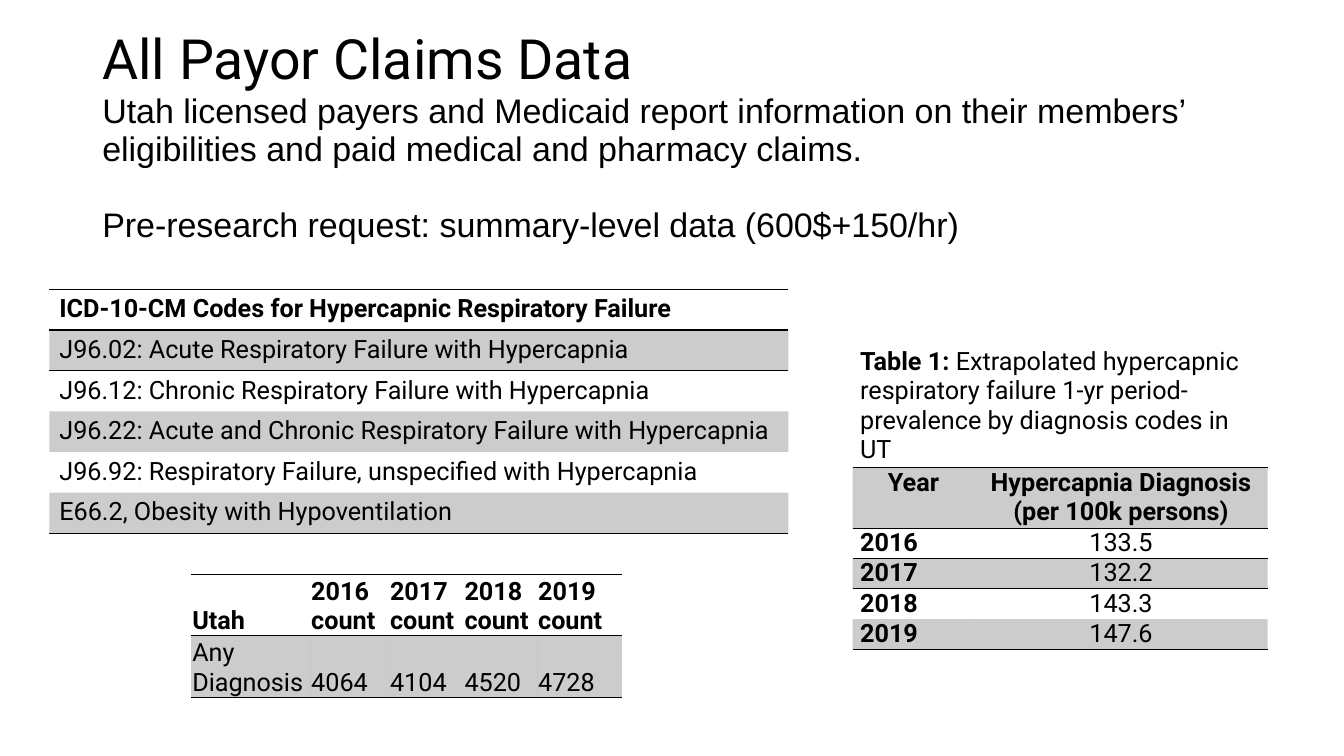
"""Builds the slide on all payor claims data for hypercapnic respiratory failure."""
import dataclasses

import lxml.etree
import pptx
import pptx.dml.color
import pptx.enum.text
import pptx.oxml.ns
import pptx.util

Pt = pptx.util.Pt
qn = pptx.oxml.ns.qn
ALIGN = pptx.enum.text.PP_ALIGN
ANCHOR = pptx.enum.text.MSO_ANCHOR


@dataclasses.dataclass(frozen=True)
class Theme:
    ink: str = "000000"
    shade_alpha: int = 20
    heading_font: str = "Roboto"
    body_font: str = "Arial"
    title_size: float = 39.6
    body_size: float = 24.3
    table_size: float = 18
    rule_width: float = 1
    plain_table_style: str = "{2D5ABB26-0587-4C30-8999-92F81FD0307C}"


class ClaimsSlide:
    def __init__(self, deck, theme):
        self.theme = theme
        self.ink = pptx.dml.color.RGBColor.from_string(theme.ink)
        self.page = deck.slides.add_slide(deck.slide_layouts[6])

    def apply(self, target, values):
        for name, value in values.items():
            setattr(target, name, value)

    def span(self, para, text, font, size, bold=False):
        span = para.add_run()
        span.text = text
        self.apply(span.font, {"name": font, "size": Pt(size), "bold": bold})
        span.font.color.rgb = self.ink

    def text_box(self, place, frame_format, lines):
        frame = self.page.shapes.add_textbox(*map(Pt, place)).text_frame
        self.apply(frame, frame_format)
        for index, (text, font, size, para_format) in enumerate(lines):
            para = frame.add_paragraph() if index else frame.paragraphs[0]
            self.apply(para, para_format)
            self.span(para, text, font, size)

    def shade(self, cell):
        cell.fill.solid()
        cell.fill.fore_color.rgb = self.ink
        color = cell._tc.tcPr.find(qn("a:solidFill")).find(qn("a:srgbClr"))
        alpha = lxml.etree.SubElement(color, qn("a:alpha"))
        alpha.set("val", str(self.theme.shade_alpha * 1000))

    def rule(self, cell, sides):
        for index, side in enumerate(sides):
            line = lxml.etree.Element(qn(f"a:{side}"), w=str(Pt(self.theme.rule_width)))
            fill = lxml.etree.SubElement(line, qn("a:solidFill"))
            lxml.etree.SubElement(fill, qn("a:srgbClr"), val=self.theme.ink)
            cell._tc.tcPr.insert(index, line)

    def fill_cell(self, cell, content, align):
        frame = cell.text_frame
        for index, line in enumerate(content):
            para = frame.add_paragraph() if index else frame.paragraphs[0]
            para.alignment = align
            for text, bold in line:
                self.span(para, text, self.theme.heading_font, self.theme.table_size, bold)

    def table(self, left, top, widths, heights, rows, shaded, edges, cell_format,
              align=lambda row, column: ALIGN.LEFT, merged_rows=()):
        frame = self.page.shapes.add_table(
            len(heights), len(widths), Pt(left), Pt(top), Pt(sum(widths)), Pt(sum(heights)))
        table = frame.table
        self.apply(table, {"first_row": False, "horz_banding": False})
        table._tbl.tblPr.find(qn("a:tableStyleId")).text = self.theme.plain_table_style
        for column, width in zip(table.columns, widths):
            column.width = Pt(width)
        for row, height in zip(table.rows, heights):
            row.height = Pt(height)
        for row in merged_rows:
            table.cell(row, 0).merge(table.cell(row, len(widths) - 1))
        for r, row in enumerate(rows):
            for c in range(len(widths)):
                cell = table.cell(r, c)
                self.apply(cell, cell_format)
                if r in shaded:
                    self.shade(cell)
                else:
                    cell.fill.background()
                sides = [side for side, edge in (("lnT", r), ("lnB", r + 1)) if edge in edges]
                self.rule(cell, sides)
                if c < len(row):
                    self.fill_cell(cell, row[c], align(r, c))


def bold(*lines):
    """Return cell content with one bold paragraph per line."""
    return [[(line, True)] for line in lines]


def plain(text):
    """Return cell content with one regular paragraph."""
    return [[(text, False)]]


def main():
    """Build the deck and save it."""
    deck = pptx.Presentation()
    deck.slide_width, deck.slide_height = Pt(960), Pt(540)
    theme = Theme()
    slide = ClaimsSlide(deck, theme)

    body = (theme.body_font, theme.body_size)
    slide.text_box(
        (66, 59, 828, 104.4),
        {"word_wrap": True, "vertical_anchor": ANCHOR.MIDDLE, "margin_bottom": Pt(30)},
        [
            ("All Payor Claims Data", theme.heading_font, theme.title_size,
             {"line_spacing": 0.95}),
            ("Utah licensed payers and Medicaid report information on their members’ "
             "eligibilities and paid medical and pharmacy claims.", *body,
             {"line_spacing": 0.95}),
            ("Pre-research request: summary-level data (600$+150/hr)", *body,
             {"line_spacing": 0.95, "space_before": Pt(26.5)}),
        ])

    prevalence = {"2016": "133.5", "2017": "132.2", "2018": "143.3", "2019": "147.6"}
    caption = [[("Table 1: ", True),
                ("Extrapolated hypercapnic respiratory failure 1-yr period-prevalence "
                 "by diagnosis codes in UT", False)]]
    slide.table(
        609, 247.7, [87, 209.5], [84.4, 42.2] + [21.1] * len(prevalence),
        [[caption], [bold("Year"), bold("Hypercapnia Diagnosis", "(per 100k persons)")]]
        + [[bold(year), plain(rate)] for year, rate in prevalence.items()],
        shaded={1, 3, 5}, edges={1, 2, 3, 6},
        cell_format={"margin_left": Pt(5.4), "margin_right": Pt(5.4),
                     "margin_top": 0, "margin_bottom": 0},
        align=lambda row, column: ALIGN.CENTER if row == 1 or column == 1 else ALIGN.LEFT,
        merged_rows=[0])

    codes = [
        "J96.02: Acute Respiratory Failure with Hypercapnia",
        "J96.12: Chronic Respiratory Failure with Hypercapnia",
        "J96.22: Acute and Chronic Respiratory Failure with Hypercapnia",
        "J96.92: Respiratory Failure, unspecified with Hypercapnia",
        "E66.2, Obesity with Hypoventilation",
    ]
    slide.table(
        35.2, 206.7, [528], [29.05] * (len(codes) + 1),
        [[bold("ICD-10-CM Codes for Hypercapnic Respiratory Failure")]]
        + [[plain(code)] for code in codes],
        shaded={1, 3, 5}, edges={0, 1, 6}, cell_format={})

    counts = {"2016": "4064", "2017": "4104", "2018": "4520", "2019": "4728"}
    slide.table(
        136.6, 410.2, [85, 56.3, 53.2, 52.6, 60.5], [43, 43],
        [[bold("Utah")] + [bold(year, "count") for year in counts],
         [plain("Any Diagnosis")] + [plain(count) for count in counts.values()]],
        shaded={1}, edges={0, 1, 2},
        cell_format={"margin_left": Pt(0.75), "margin_right": Pt(0.75),
                     "margin_top": Pt(0.75), "margin_bottom": 0,
                     "vertical_anchor": ANCHOR.BOTTOM})

    deck.save("out.pptx")


if __name__ == "__main__":
    main()
